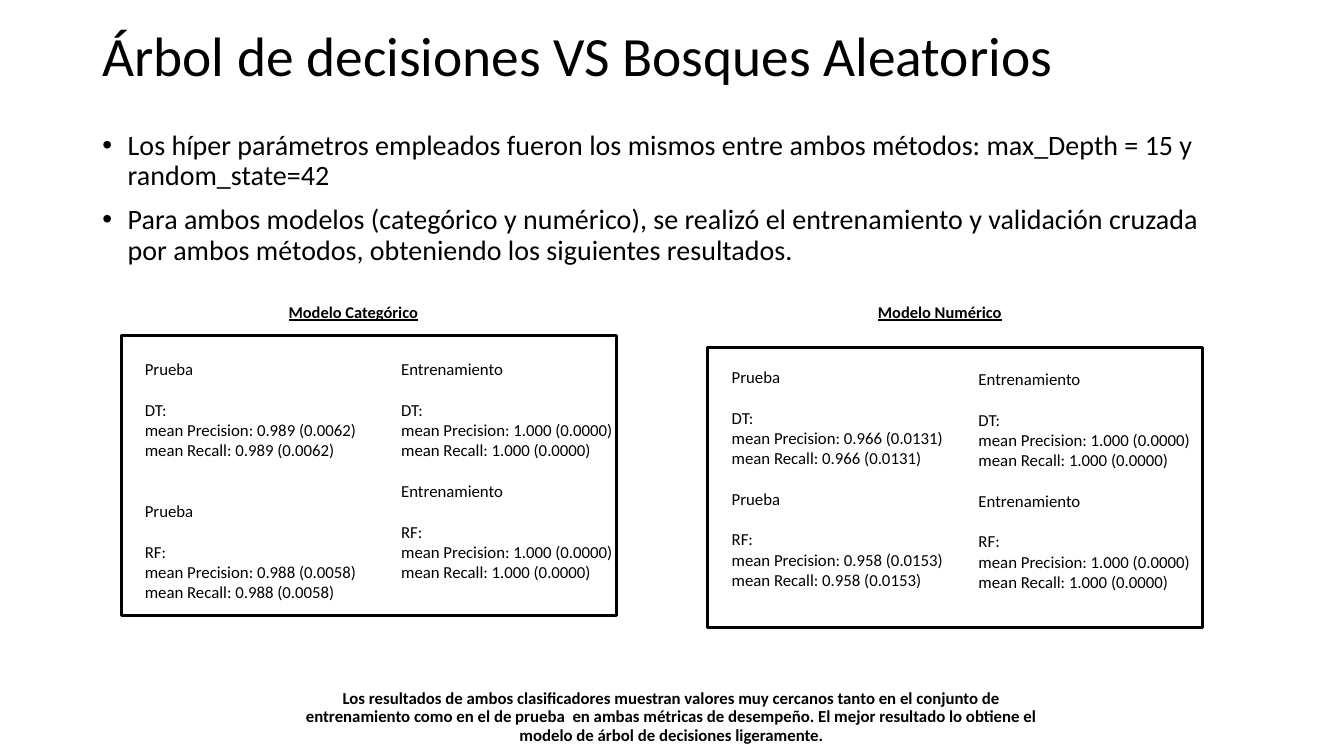
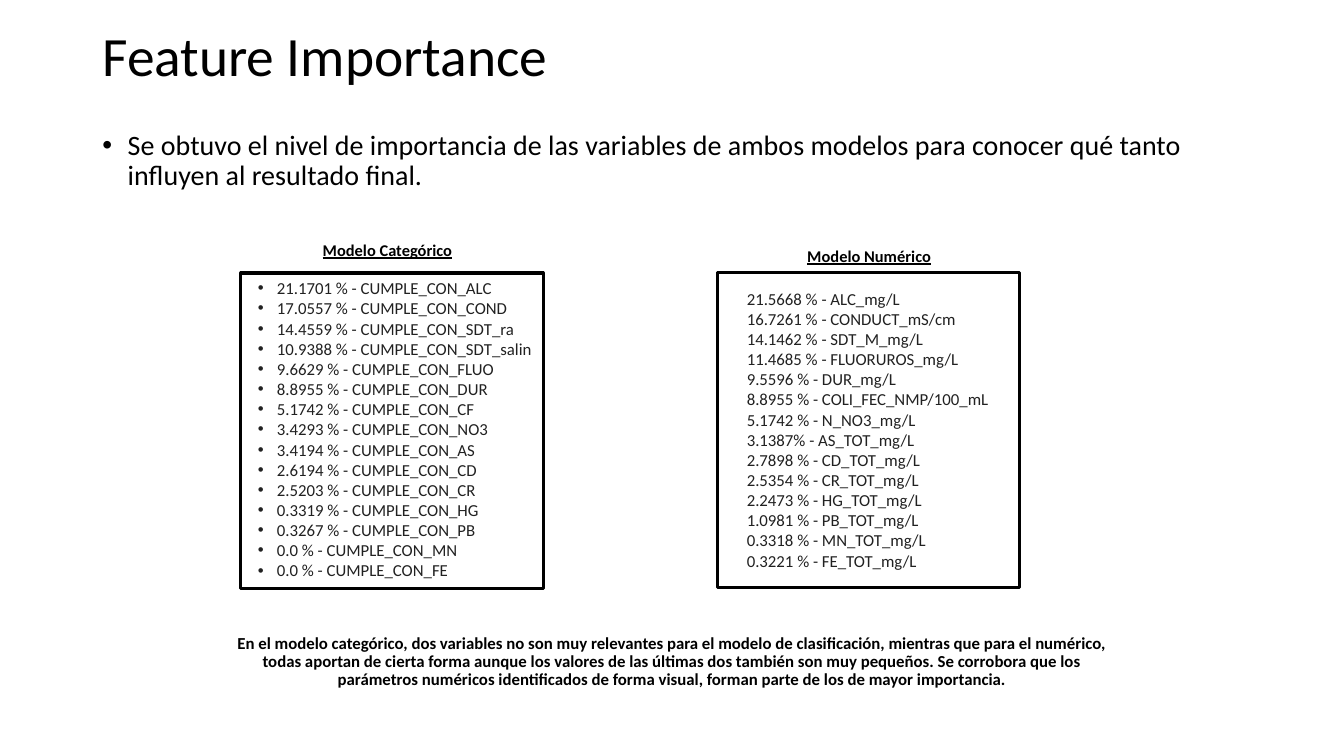
from dataclasses import dataclass

from lxml import etree
from pptx import Presentation
from pptx import util as u
from pptx.dml.color import RGBColor
from pptx.enum import shapes, text
from pptx.oxml import ns


@dataclass(frozen=True)
class Theme:
    font: str = "Calibri"
    black: RGBColor = RGBColor(0, 0, 0)
    grey: RGBColor = RGBColor(0x21, 0x21, 0x21)
    title_size: float = 39.6
    body_size: float = 20
    heading_size: float = 11.7
    detail_size: float = 12
    frame_line: float = 2.25
    blank_line: float = 14.65


@dataclass(frozen=True)
class Style:
    size: float
    color: RGBColor = Theme.black
    bold: bool = False
    underline: bool = False
    align: text.PP_ALIGN = text.PP_ALIGN.LEFT
    anchor: text.MSO_ANCHOR = text.MSO_ANCHOR.TOP
    line_spacing: float = 1.0
    bullet_indent: float = 0


THEME = Theme()
CENTER = text.PP_ALIGN.CENTER
MIDDLE = text.MSO_ANCHOR.MIDDLE
TITLE = Style(THEME.title_size, anchor=MIDDLE, line_spacing=0.9)
BODY = Style(THEME.body_size, line_spacing=0.9, bullet_indent=0.64)
HEADING = Style(THEME.heading_size, bold=True, underline=True, align=CENTER,
                anchor=MIDDLE, line_spacing=0.9)
RESULT = Style(THEME.detail_size)
FEATURE = Style(THEME.detail_size, THEME.grey)
BULLETED_FEATURE = Style(THEME.detail_size, THEME.grey, bullet_indent=0.48)
CONCLUSION = Style(THEME.detail_size, bold=True, align=CENTER, line_spacing=0.9)

CATEGORICAL = "Modelo Categórico"
NUMERIC = "Modelo Numérico"

CATEGORICAL_FEATURES = [
    "21.1701 % - CUMPLE_CON_ALC",
    "17.0557 % - CUMPLE_CON_COND",
    "14.4559 % - CUMPLE_CON_SDT_ra",
    "10.9388 % - CUMPLE_CON_SDT_salin",
    "9.6629 % - CUMPLE_CON_FLUO",
    "8.8955 % - CUMPLE_CON_DUR",
    "5.1742 % - CUMPLE_CON_CF",
    "3.4293 % - CUMPLE_CON_NO3",
    "3.4194 % - CUMPLE_CON_AS",
    "2.6194 % - CUMPLE_CON_CD",
    "2.5203 % - CUMPLE_CON_CR",
    "0.3319 % - CUMPLE_CON_HG",
    "0.3267 % - CUMPLE_CON_PB",
    "0.0 % - CUMPLE_CON_MN",
    "0.0 % - CUMPLE_CON_FE",
]
NUMERIC_FEATURES = [
    "21.5668 % - ALC_mg/L",
    "16.7261 % - CONDUCT_mS/cm",
    "14.1462 % - SDT_M_mg/L",
    "11.4685 % - FLUORUROS_mg/L",
    "9.5596 % - DUR_mg/L",
    "8.8955 % - COLI_FEC_NMP/100_mL",
    "5.1742 % - N_NO3_mg/L",
    "3.1387% - AS_TOT_mg/L",
    "2.7898 % - CD_TOT_mg/L",
    "2.5354 % - CR_TOT_mg/L",
    "2.2473 % - HG_TOT_mg/L",
    "1.0981 % - PB_TOT_mg/L",
    "0.3318 % - MN_TOT_mg/L",
    "0.3221 % - FE_TOT_mg/L",
]


def set_bullet(paragraph, indent):
    properties = paragraph._p.get_or_add_pPr()
    properties.set("marL", str(u.Cm(indent)))
    properties.set("indent", str(-u.Cm(indent)))
    font = etree.SubElement(properties, ns.qn("a:buFont"))
    font.set("typeface", "Arial")
    etree.SubElement(properties, ns.qn("a:buChar")).set("char", "•")


def add_text(slide, box, lines, style):
    shape = slide.shapes.add_textbox(*map(u.Cm, box))
    frame = shape.text_frame
    frame.word_wrap = True
    frame.vertical_anchor = style.anchor
    for index, (line, space_before) in enumerate(lines):
        paragraph = frame.add_paragraph() if index else frame.paragraphs[0]
        paragraph.alignment = style.align
        paragraph.line_spacing = style.line_spacing
        paragraph.space_before = u.Pt(space_before)
        if style.bullet_indent:
            set_bullet(paragraph, style.bullet_indent)
        run = paragraph.add_run()
        run.text = line
        run.font.name = THEME.font
        run.font.size = u.Pt(style.size)
        run.font.bold = style.bold
        run.font.underline = style.underline
        run.font.color.rgb = style.color


def spaced(lines, gap=0):
    return [(line, gap if index else 0) for index, line in enumerate(lines)]


def add_frame(slide, box):
    shape = slide.shapes.add_shape(shapes.MSO_SHAPE.RECTANGLE, *map(u.Cm, box))
    shape.shadow.inherit = False
    shape.fill.background()
    shape.line.color.rgb = THEME.black
    shape.line.width = u.Pt(THEME.frame_line)


def add_heading(slide, left, top, label):
    add_text(slide, (left, top, 4.95, 0.81), spaced([label]), HEADING)


def add_results(slide, left, top, data_set, tree_score, forest_score, gap_lines=1):
    lines = []
    for method, score in (("DT:", tree_score), ("RF:", forest_score)):
        lines += [
            (data_set, gap_lines * THEME.blank_line if lines else 0),
            (method, THEME.blank_line),
            (f"mean Precision: {score}", 0),
            (f"mean Recall: {score}", 0),
        ]
    add_text(slide, (left, top, 6.05, 5.89), lines, RESULT)


def add_base_slide(presentation, title, points, conclusion, conclusion_box):
    slide = presentation.slides.add_slide(presentation.slide_layouts[6])
    add_text(slide, (2.33, 0.66, 29.21, 1.65), spaced([title]), TITLE)
    add_text(slide, (2.33, 3.18, 29.21, 2.24), spaced(points, 10), BODY)
    add_text(slide, conclusion_box, spaced([conclusion]), CONCLUSION)
    return slide


def add_comparison_slide(presentation):
    slide = add_base_slide(
        presentation,
        "Árbol de decisiones VS Bosques Aleatorios",
        ["Los híper parámetros empleados fueron los mismos entre ambos métodos: "
         "max_Depth = 15 y random_state=42",
         "Para ambos modelos (categórico y numérico), se realizó el entrenamiento y "
         "validación cruzada por ambos métodos, obteniendo los siguientes resultados."],
        "Los resultados de ambos clasificadores muestran valores muy cercanos tanto en "
        "el conjunto de entrenamiento como en el de prueba  en ambas métricas de "
        "desempeño. El mejor resultado lo obtiene el modelo de árbol de decisiones "
        "ligeramente.",
        (7.16, 17.27, 19.53, 1.78))
    perfect = "1.000 (0.0000)"
    add_heading(slide, 6.43, 7.49, CATEGORICAL)
    add_heading(slide, 21.21, 7.49, NUMERIC)
    add_results(slide, 3.4, 8.92, "Prueba", "0.989 (0.0062)", "0.988 (0.0058)", 2)
    add_results(slide, 9.86, 8.92, "Entrenamiento", perfect, perfect)
    add_results(slide, 18.19, 9.12, "Prueba", "0.966 (0.0131)", "0.958 (0.0153)")
    add_results(slide, 24.41, 9.17, "Entrenamiento", perfect, perfect)
    for left, top in ((3.07, 8.46), (17.83, 8.76)):
        add_frame(slide, (left, top, 12.47, 7.06))


def add_importance_slide(presentation):
    slide = add_base_slide(
        presentation,
        "Feature Importance",
        ["Se obtuvo el nivel de importancia de las variables de ambos modelos para "
         "conocer qué tanto influyen al resultado final."],
        "En el modelo categórico, dos variables no son muy relevantes para el modelo de "
        "clasificación, mientras que para el numérico, todas aportan de cierta forma "
        "aunque los valores de las últimas dos también son muy pequeños. Se corrobora "
        "que los parámetros numéricos identificados de forma visual, forman parte de "
        "los de mayor importancia.",
        (5.41, 15.88, 23.06, 1.35))
    add_heading(slide, 7.29, 5.92, CATEGORICAL)
    add_heading(slide, 19.43, 6.07, NUMERIC)
    add_text(slide, (6.25, 6.88, 8.51, 7.95), spaced(CATEGORICAL_FEATURES),
             BULLETED_FEATURE)
    add_text(slide, (18.57, 7.14, 7.06, 7.44), spaced(NUMERIC_FEATURES), FEATURE)
    for left, top in ((6.07, 6.88), (18.08, 6.86)):
        add_frame(slide, (left, top, 7.62, 7.95))


def main():
    presentation = Presentation()
    presentation.slide_width = u.Cm(33.87)
    presentation.slide_height = u.Cm(19.05)
    add_comparison_slide(presentation)
    add_importance_slide(presentation)
    presentation.save("out.pptx")


if __name__ == "__main__":
    main()
